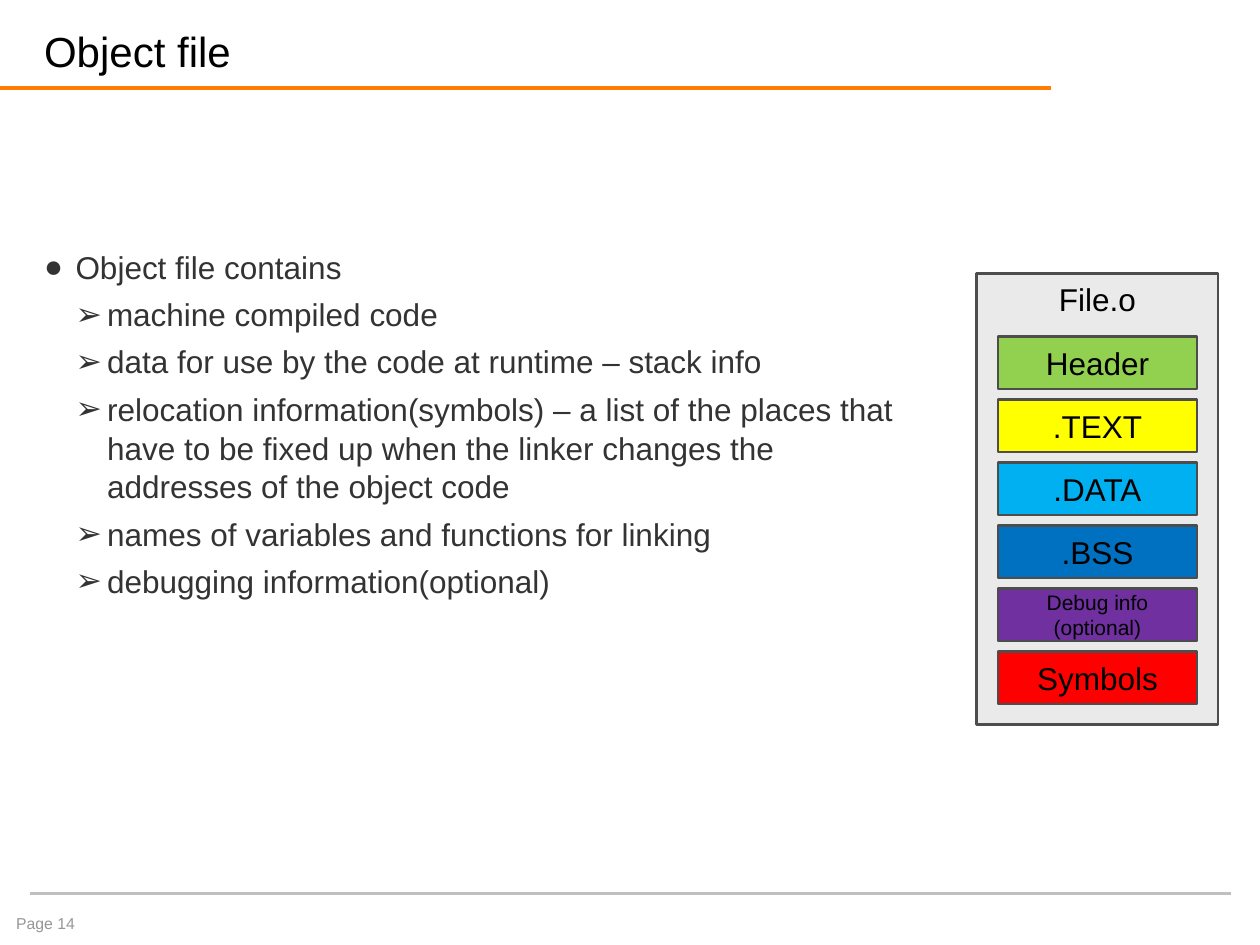
"""Build the slide that lists what an object file contains."""
from lxml import etree
from pptx import Presentation
from pptx.dml.color import RGBColor
from pptx.enum.shapes import MSO_CONNECTOR as Connector, MSO_SHAPE as Shape
from pptx.enum.text import MSO_ANCHOR as Anchor, PP_ALIGN as Align
from pptx.oxml.ns import qn
from pptx.util import Inches, Pt

BLACK = RGBColor(0x00, 0x00, 0x00)
BODY_GRAY = RGBColor(0x33, 0x33, 0x33)
BORDER_GRAY = RGBColor(0x4D, 0x4D, 0x4D)
PAGE_GRAY = RGBColor(0x96, 0x96, 0x96)
RULE_GRAY = RGBColor(0xC0, 0xC0, 0xC0)
PANEL_GRAY = RGBColor(0xEA, 0xEA, 0xEA)
ORANGE = RGBColor(0xFF, 0x7D, 0x00)
GREEN = RGBColor(0x92, 0xD0, 0x50)
YELLOW = RGBColor(0xFF, 0xFF, 0x00)
SKY = RGBColor(0x00, 0xB0, 0xF0)
BLUE = RGBColor(0x00, 0x70, 0xC0)
PURPLE = RGBColor(0x70, 0x30, 0xA0)
RED = RGBColor(0xFF, 0x00, 0x00)


def write(paragraph, text, size=18, color=BLACK, align=Align.LEFT):
    paragraph.alignment = align
    run = paragraph.add_run()
    run.text = text
    run.font.name = "Arial"
    run.font.size = Pt(size)
    run.font.color.rgb = color


def add_section(left, top, width, height, fill, text, size=18, anchor=Anchor.MIDDLE):
    section = shapes.add_shape(Shape.RECTANGLE, Inches(left), Inches(top), Inches(width), Inches(height))
    section.shadow.inherit = False
    section.fill.solid()
    section.fill.fore_color.rgb = fill
    section.line.color.rgb = BORDER_GRAY
    section.line.width = Pt(1.25)
    section.text_frame.word_wrap = True
    section.text_frame.vertical_anchor = anchor
    write(section.text_frame.paragraphs[0], text, size=size, align=Align.CENTER)


deck = Presentation()
deck.slide_width, deck.slide_height = Inches(10), Inches(7.5)
slide = deck.slides.add_slide(deck.slide_layouts[5])
shapes = slide.shapes

for start, end, y, color, weight in [
    (-0.02, 8.34, 0.7, ORANGE, 2.25),
    (0.24, 9.77, 7.09, RULE_GRAY, 1.5),
]:
    rule = shapes.add_connector(Connector.STRAIGHT, Inches(start), Inches(y), Inches(end), Inches(y))
    rule.line.color.rgb = color
    rule.line.width = Pt(weight)
    etree.SubElement(rule._element.spPr, qn("a:effectLst"))

title = shapes.title
title.left, title.top, title.width, title.height = Inches(0.35), Inches(0.13), Inches(7.98), Inches(0.47)
contents = shapes.add_textbox(Inches(0.35), Inches(1.96), Inches(6.9), Inches(3.38))
for frame in (title.text_frame, contents.text_frame):
    frame.word_wrap = True
    frame.margin_left = frame.margin_top = frame.margin_right = frame.margin_bottom = 0
title.text_frame.vertical_anchor = Anchor.BOTTOM
write(title.text_frame.paragraphs[0], "Object file", size=24)

for index, (level, text) in enumerate([
    (0, "Object file contains"),
    (1, "machine compiled code"),
    (1, "data for use by the code at runtime – stack info"),
    (1, "relocation information(symbols) – a list of the places that have to be fixed up "
        "when the linker changes the addresses of the object code"),
    (1, "names of variables and functions for linking"),
    (1, "debugging information(optional)"),
]):
    item = contents.text_frame.add_paragraph() if index else contents.text_frame.paragraphs[0]
    item.level = level
    item.line_spacing = 1.03
    item.space_before = Pt(4.75 * level)
    write(item, text, color=BODY_GRAY)
    properties = item._p.get_or_add_pPr()
    properties.set("marL", str(Inches(0.25 * (level + 1))))
    properties.set("indent", str(Inches(-0.25)))
    etree.SubElement(properties, qn("a:buFont"), typeface="Arial")
    etree.SubElement(properties, qn("a:buChar"), char="●➢"[level])

page = shapes.add_textbox(Inches(0.03), Inches(7.2), Inches(1.2), Inches(0.3))
page.text_frame.word_wrap = True
write(page.text_frame.paragraphs[0], "Page 14", size=9, color=PAGE_GRAY)

add_section(7.75, 2.17, 1.92, 3.58, PANEL_GRAY, "File.o", anchor=Anchor.TOP)
for row, (text, fill, size) in enumerate([
    ("Header", GREEN, 18),
    (".TEXT", YELLOW, 18),
    (".DATA", SKY, 18),
    (".BSS", BLUE, 18),
    ("Debug info (optional)", PURPLE, 12),
    ("Symbols", RED, 18),
]):
    add_section(7.92, 2.67 + 0.5 * row, 1.58, 0.42, fill, text, size=size)

deck.save("out.pptx")
